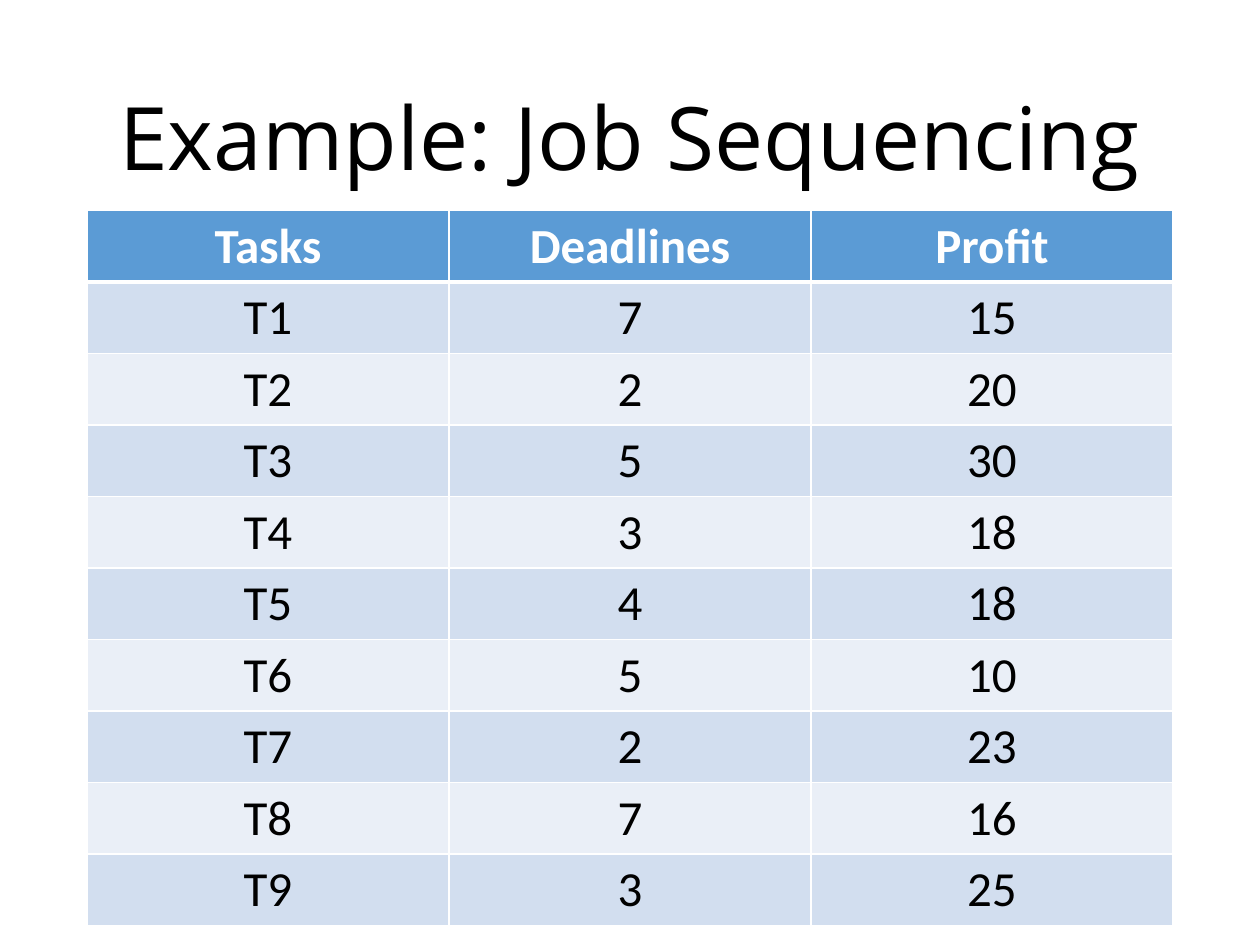
from lxml import etree
from pptx import Presentation
from pptx.dml.color import RGBColor
from pptx.enum.text import MSO_ANCHOR, PP_ALIGN
from pptx.oxml.ns import qn
from pptx.util import Inches, Pt

CENTER = PP_ALIGN.CENTER
MIDDLE = MSO_ANCHOR.MIDDLE

BLACK = RGBColor(0x00, 0x00, 0x00)
WHITE = RGBColor(0xFF, 0xFF, 0xFF)
HEADER_BLUE = RGBColor(0x5B, 0x9B, 0xD5)
BANDS = (RGBColor(0xD2, 0xDE, 0xEF), RGBColor(0xEA, 0xEF, 0xF7))

HEADINGS = ("Tasks", "Deadlines", "Profit")
JOBS = [(7, 15), (2, 20), (5, 30), (3, 18), (4, 18),
        (5, 10), (2, 23), (7, 16), (3, 25)]


def write(paragraph, text, font, size, color, bold=False):
    paragraph.alignment = CENTER
    run = paragraph.add_run()
    run.text = text
    run.font.name = font
    run.font.size = Pt(size)
    run.font.color.rgb = color
    run.font.bold = bold


def add_title(slide, left, top, width, height, text):
    frame = slide.shapes.add_textbox(left, top, width, height).text_frame
    frame.word_wrap = True
    frame.vertical_anchor = MIDDLE
    heading = frame.paragraphs[0]
    heading.line_spacing = 0.9
    write(heading, text, "Open Sans", 50, BLACK)


def set_borders(cell, **widths):
    # Border lines precede the fill in the cell properties
    properties = cell._tc.get_or_add_tcPr()
    for position, side in enumerate(("L", "R", "T", "B")):
        line = etree.Element(qn("a:ln" + side), w=str(Pt(widths.get(side, 1))))
        fill = etree.SubElement(line, qn("a:solidFill"))
        etree.SubElement(fill, qn("a:srgbClr"), val=str(WHITE))
        properties.insert(position, line)


def add_job_table(slide, left, top, width, height):
    rows = [HEADINGS] + [(f"T{number}", *job)
                         for number, job in enumerate(JOBS, 1)]
    table = slide.shapes.add_table(len(rows), len(HEADINGS),
                                   left, top, width, height).table
    for r, values in enumerate(rows):
        is_header = r == 0
        for c, value in enumerate(values):
            cell = table.cell(r, c)
            cell.fill.solid()
            cell.fill.fore_color.rgb = HEADER_BLUE if is_header else BANDS[(r - 1) % 2]
            set_borders(cell, T=3 if r == 1 else 1, B=3 if is_header else 1)
            write(cell.text_frame.paragraphs[0], str(value), "Calibri", 28,
                  WHITE if is_header else BLACK, is_header)


presentation = Presentation()
presentation.slide_width = Inches(10)
presentation.slide_height = Inches(7.5)
slide = presentation.slides.add_slide(presentation.slide_layouts[6])

# Title above the table, sharing its left edge and width
left, width = Inches(0.69), Inches(8.62)
add_title(slide, left, Inches(0.4), width, Inches(1.45), "Example: Job Sequencing")
add_job_table(slide, left, Inches(1.67), width, Inches(5.67))

presentation.save("out.pptx")
